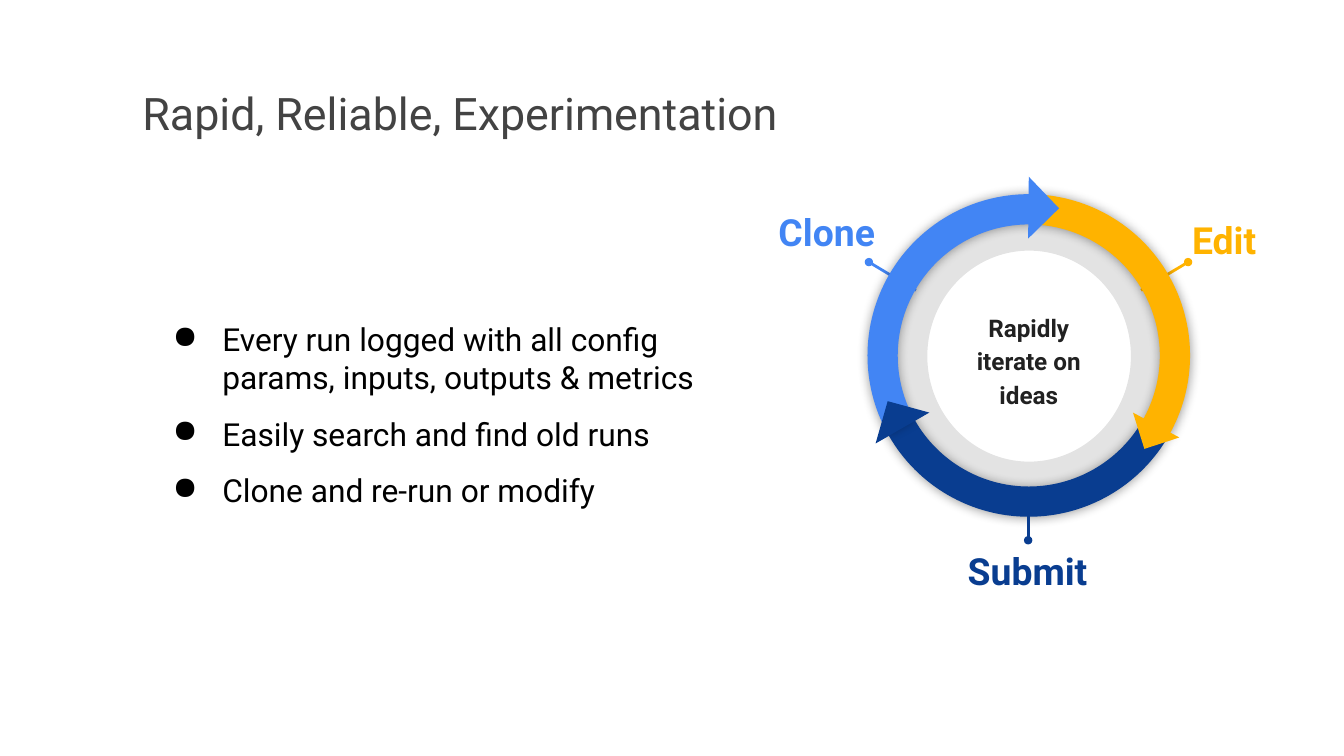
from dataclasses import dataclass

from lxml import etree
from pptx import Presentation, util as u
from pptx.dml.color import RGBColor
from pptx.enum import shapes, text
from pptx.oxml.ns import qn


@dataclass(frozen=True)
class Theme:
    font: str = "Roboto"
    clone: str = "4285F4"
    edit: str = "FFB300"
    submit: str = "093D90"
    title: str = "434343"
    hub: str = "212121"
    black: str = "000000"
    title_size: int = 48
    label_size: int = 40
    body_size: int = 34
    hub_size: int = 26


THEME = Theme()


def add_element(parent, tag, **attributes):
    """Append an XML element such as a:buChar and return it."""
    element = etree.SubElement(parent, qn(tag))
    for name, value in attributes.items():
        element.set(name, str(value))
    return element


def write_text(paragraph, content, size, color, bold=False,
               align=text.PP_ALIGN.LEFT, spacing=1.0):
    paragraph.alignment = align
    paragraph.line_spacing = spacing
    run = paragraph.add_run()
    run.text = content
    run.font.name = THEME.font
    run.font.size = u.Pt(size)
    run.font.bold = bold
    run.font.color.rgb = RGBColor.from_string(color)


class SlideBuilder:
    def __init__(self, slide, theme):
        self.slide = slide
        self.theme = theme

    def paint(self, shape, color, alpha=None, shadow=False):
        shape.fill.solid()
        shape.fill.fore_color.rgb = RGBColor.from_string(color)
        shape.line.fill.background()
        shape.shadow.inherit = False
        properties = shape._element.spPr
        if alpha is not None:
            fill = properties.find(qn("a:solidFill"))
            add_element(fill[0], "a:alpha", val=alpha * 1000)
        if shadow:
            effects = properties.find(qn("a:effectLst"))
            outer = add_element(effects, "a:outerShdw", blurRad=u.Pt(12),
                                dist=u.Pt(1), dir=90 * 60000,
                                algn="bl", rotWithShape=0)
            tint = add_element(outer, "a:srgbClr", val=self.theme.black)
            add_element(tint, "a:alpha", val=40000)

    def text_box(self, box, inset=0.1, anchor=text.MSO_ANCHOR.TOP):
        shape = self.slide.shapes.add_textbox(*map(u.Inches, box))
        frame = shape.text_frame
        frame.word_wrap = True
        frame.vertical_anchor = anchor
        frame.margin_left = frame.margin_right = u.Inches(inset)
        frame.margin_top = frame.margin_bottom = u.Inches(inset)
        return frame

    def label(self, content, box, inset=0.1, anchor=text.MSO_ANCHOR.TOP, **style):
        frame = self.text_box(box, inset, anchor)
        write_text(frame.paragraphs[0], content, **style)

    def bullets(self, items, box):
        frame = self.text_box(box, anchor=text.MSO_ANCHOR.MIDDLE)
        for index, item in enumerate(items):
            paragraph = frame.add_paragraph() if index else frame.paragraphs[0]
            properties = paragraph._p.get_or_add_pPr()
            properties.set("marL", str(u.Inches(1)))
            properties.set("indent", str(u.Inches(-0.74)))
            bullet_color = add_element(properties, "a:buClr")
            add_element(bullet_color, "a:srgbClr", val=self.theme.black)
            add_element(properties, "a:buChar", char="●")
            if index:
                paragraph.space_before = u.Pt(20)
            if index == len(items) - 1:
                paragraph.space_after = u.Pt(20)
            write_text(paragraph, item, self.theme.body_size, self.theme.black)

    def ring(self, box, thickness, color, alpha):
        shape = self.slide.shapes.add_shape(
            shapes.MSO_SHAPE.DONUT, *map(u.Inches, box))
        shape.adjustments[0] = thickness / min(box[2:])
        self.paint(shape, color, alpha)

    def arc(self, center, radius, thickness, start, end, color):
        """Draw a band clockwise from start to end, in degrees from 3 o'clock."""
        left, top = (u.Inches(value - radius) for value in center)
        size = u.Inches(2 * radius)
        shape = self.slide.shapes.add_shape(
            shapes.MSO_SHAPE.BLOCK_ARC, left, top, size, size)
        shape.adjustments[0] = start * 0.6
        shape.adjustments[1] = end * 0.6
        shape.adjustments[2] = thickness / (2 * radius)
        self.paint(shape, color, shadow=True)

    def arrowhead(self, points, color):
        corners = [(u.Inches(x), u.Inches(y)) for x, y in points]
        builder = self.slide.shapes.build_freeform(*corners[0], scale=1.0)
        builder.add_line_segments(corners[1:], close=True)
        self.paint(builder.convert_to_shape(), color)

    def spoke(self, start, end, color):
        line = self.slide.shapes.add_connector(
            shapes.MSO_CONNECTOR.STRAIGHT, *map(u.Inches, start + end))
        line.line.color.rgb = RGBColor.from_string(color)
        line.line.width = u.Pt(3)
        add_element(line.line._get_or_add_ln(), "a:headEnd", type="oval")
        add_element(line._element.spPr, "a:effectLst")


def main():
    presentation = Presentation()
    presentation.slide_width = u.Inches(20)
    presentation.slide_height = u.Inches(11.25)
    slide = presentation.slides.add_slide(presentation.slide_layouts[6])
    builder = SlideBuilder(slide, THEME)
    center, radius, band = (15.31, 5.29), 2.4, 0.45

    # Grey inner ring and the lower band
    builder.ring((13.08, 3.01, 4.47, 4.58), 0.72, THEME.black, alpha=11)
    builder.arc(center, radius, band, 32, 152, THEME.submit)

    # Title
    builder.label("Rapid, Reliable, Experimentation", (2.02, 1.18, 15.98, 1.18),
                  size=THEME.title_size, color=THEME.title)

    # Spokes, partly covered by the upper bands
    builder.spoke((12.93, 3.9), (13.63, 4.32), THEME.clone)
    builder.spoke((17.68, 3.9), (16.98, 4.32), THEME.edit)
    builder.spoke((15.3, 8.04), (15.3, 7.28), THEME.submit)

    # Text in the middle of the cycle
    builder.label("Rapidly iterate on ideas", (14.04, 4.36, 2.54, 1.96),
                  inset=0.2, anchor=text.MSO_ANCHOR.MIDDLE, size=THEME.hub_size,
                  color=THEME.hub, bold=True, align=text.PP_ALIGN.CENTER,
                  spacing=1.15)

    # Upper bands and arrowheads
    builder.arc(center, radius, band, 270, 30.5, THEME.edit)
    builder.arc(center, radius, band, 151.5, 270, THEME.clone)
    builder.arrowhead([(15.76, 3.1), (15.31, 2.63), (15.3, 3.55)], THEME.clone)
    builder.arrowhead([(17.03, 6.68), (17.55, 6.51), (16.86, 6.14)], THEME.edit)
    builder.arrowhead([(13.21, 5.97), (13.03, 6.6), (13.83, 6.14)], THEME.submit)

    # Step names
    steps = [
        ("Submit", (13.63, 7.86, 3.32, 1.11), 0.2, THEME.submit, text.PP_ALIGN.CENTER),
        ("Clone", (11.03, 2.95, 2.06, 0.84), 0.07, THEME.clone, text.PP_ALIGN.RIGHT),
        ("Edit", (17.67, 3.06, 1.97, 0.84), 0.07, THEME.edit, text.PP_ALIGN.LEFT),
    ]
    for name, box, inset, color, align in steps:
        builder.label(name, box, inset=inset, size=THEME.label_size, color=color,
                      bold=True, align=align, spacing=1.15)

    # Benefits
    builder.bullets([
        "Every run logged with all config params, inputs, outputs & metrics",
        "Easily search and find old runs",
        "Clone and re-run or modify",
    ], (2.21, 3.37, 8.81, 5.59))

    presentation.save("out.pptx")


if __name__ == "__main__":
    main()
